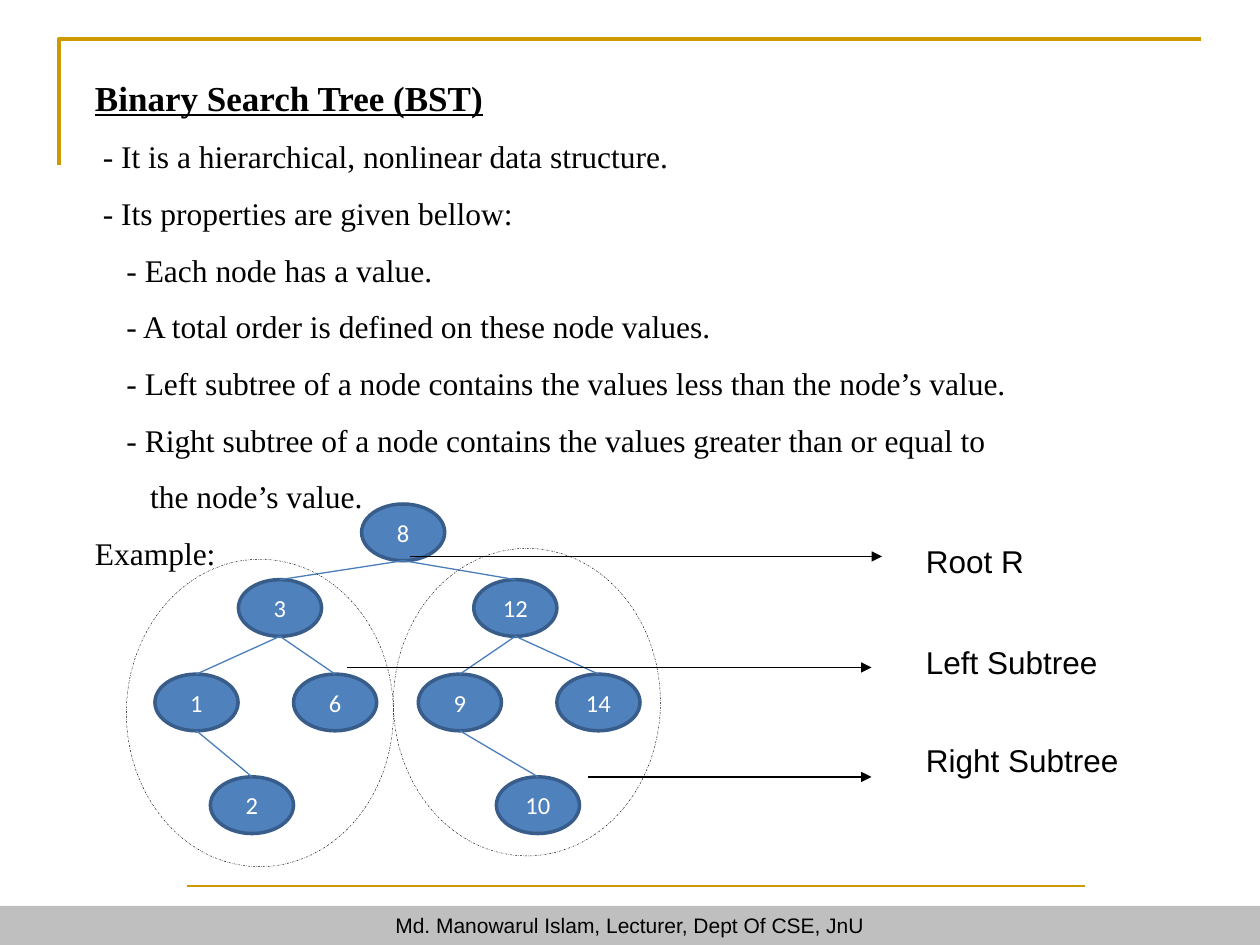
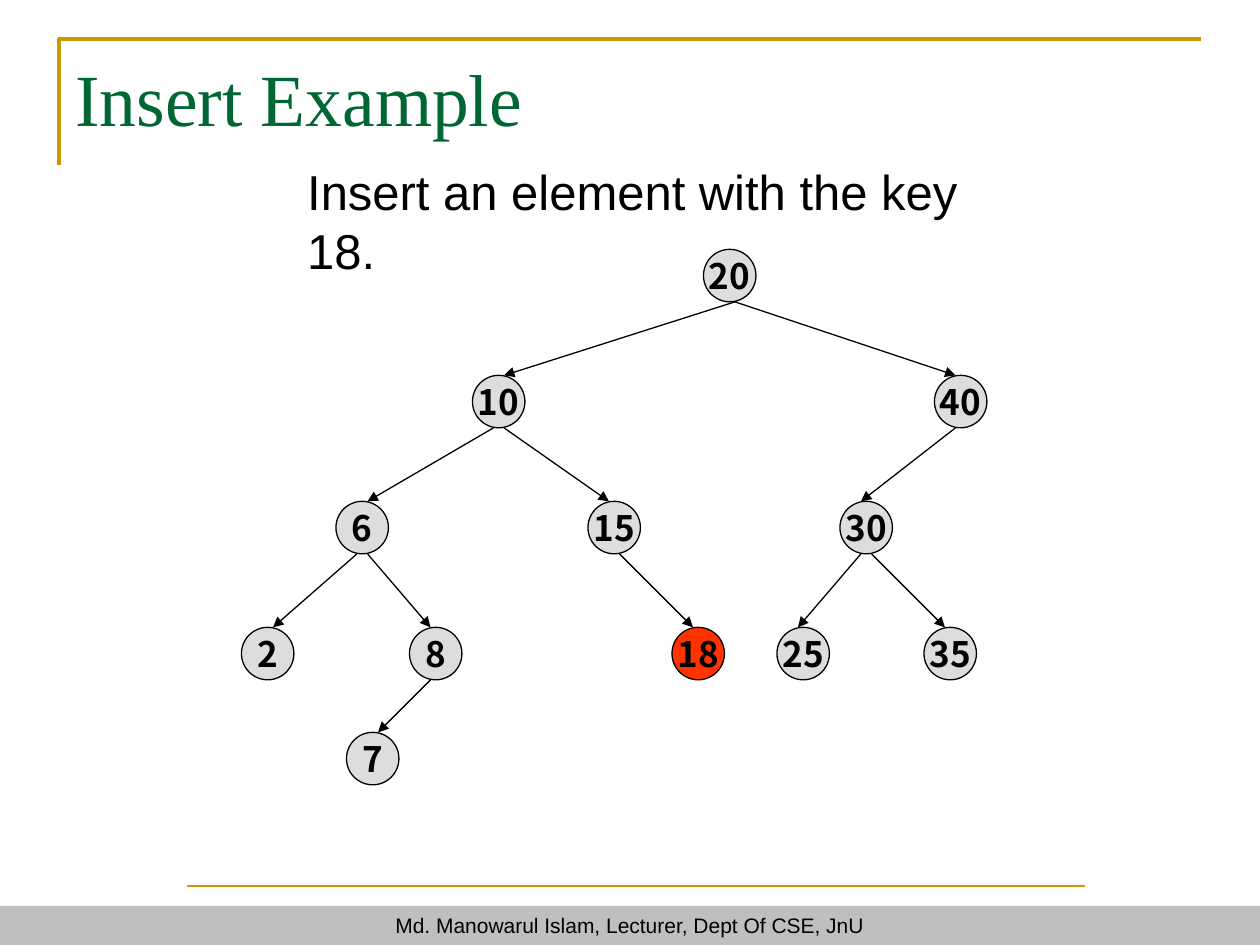
from lxml.etree import SubElement
from pptx import Presentation
from pptx.dml.color import RGBColor
from pptx.enum.dml import MSO_LINE
from pptx.enum.shapes import MSO_CONNECTOR, MSO_SHAPE
from pptx.enum.text import MSO_ANCHOR, PP_ALIGN
from pptx.oxml.ns import qn
from pptx.util import Pt

COLORS = {
    "gold": "CC9900", "band": "BFBFBF", "ink": "000000", "title": "006633",
    "blue": "4F81BD", "blue_edge": "385D8A", "blue_link": "4A7EBB",
    "paper": "FFFFFF", "gray": "DDDDDD", "inserted": "FF3300",
}
SERIF, SANS = "Times New Roman", "Arial"

FOOTER = "Md. Manowarul Islam, Lecturer, Dept Of CSE, JnU"

BST_HEADING = "Binary Search Tree (BST)"
BST_LINES = [
    (4.5, "- It is a hierarchical, nonlinear data structure."),
    (4.5, "- Its properties are given bellow:"),
    (18, "- Each node has a value."),
    (18, "- A total order is defined on these node values."),
    (18, "- Left subtree of a node contains the values less than the node’s value."),
    (18, "- Right subtree of a node contains the values greater than or equal to"),
    (31.5, "the node’s value."),
    (0, "Example:"),
]
BST_TREE = {
    "size": (47.5, 32.4),
    "rows": [288, 331.2, 385.2, 443.9],
    "nodes": {8: (230.4, 0), 3: (160, 1), 12: (294.5, 1), 1: (112.3, 2), 6: (191.5, 2),
              9: (262.8, 2), 14: (342, 2), 2: (144, 3), 10: (307.4, 3)},
    "edges": [(8, 3), (8, 12), (3, 6), (3, 1), (12, 14), (12, 9), (1, 2), (9, 10)],
    "fill": "blue", "outline": "blue_edge", "weight": 2, "link": "blue_link",
    "arrow": False, "wrap": True,
    "label": {"size": 14, "font": "Calibri", "color": "paper"},
}
SUBTREE_SIZE = (152.6, 175.7)
SUBTREES = [(224.8, 313.4), (72.2, 319.6)]
CALLOUTS = [
    ("Root R", 306, (234, 504), 318),
    ("Left Subtree", 363.6, (198, 498), 381.4),
    ("Right Subtree", 419.8, (336, 498), 444),
]

INSERT_TITLE = "Insert Example"
INSERT_TASK = "Insert an element with the key 18."
INSERT_TREE = {
    "size": (30, 30),
    "rows": [142.5, 214.5, 286.5, 358.5, 418.5],
    "nodes": {20: (417, 0), 40: (549, 1), 10: (285, 1), 6: (207, 2), 15: (351, 2),
              30: (495, 2), 2: (153, 3), 8: (249, 3), 18: (399, 3), 25: (459, 3),
              35: (543, 3), 7: (213, 4)},
    "edges": [(20, 10, 3, 3), (20, 40, 3, -3), (10, 6, -3, 3), (10, 15, 3, -3),
              (40, 30, -3, -3), (6, 2, -3, 3), (6, 8, 3, -3), (15, 18, 3, -3),
              (30, 25, -3, -3), (30, 35, 3, -3), (8, 7, -3, 3)],
    "fill": "gray", "outline": "ink", "weight": 0.75, "link": "ink",
    "arrow": True, "wrap": False, "highlight": {18: "inserted"},
    "label": {"size": 20, "font": "Noto Sans CJK KR", "color": "ink", "bold": True},
}


def rgb(color):
    return RGBColor.from_string(COLORS[color])


def write(frame, text, size=18, font=SANS, color="ink", bold=False, underline=False,
          align=PP_ALIGN.LEFT, spacing=None, indent=0, new=False):
    paragraph = frame.add_paragraph() if new else frame.paragraphs[0]
    paragraph.alignment = align
    if spacing:
        paragraph.line_spacing = spacing
    if indent:
        paragraph._p.get_or_add_pPr().set("marL", str(int(Pt(indent))))
    run = paragraph.add_run()
    run.text = text
    run.font.size = Pt(size)
    run.font.name = font
    run.font.bold = bold
    run.font.underline = underline
    run.font.color.rgb = rgb(color)


def add_box(slide, left, top, width, height, wrap=True):
    frame = slide.shapes.add_textbox(Pt(left), Pt(top), Pt(width), Pt(height)).text_frame
    frame.word_wrap = wrap
    return frame


def paint(shape, fill=None, outline=None, weight=1):
    shape.shadow.inherit = False
    if fill:
        shape.fill.solid()
        shape.fill.fore_color.rgb = rgb(fill)
    else:
        shape.fill.background()
    if outline:
        shape.line.color.rgb = rgb(outline)
        shape.line.width = Pt(weight)
    else:
        shape.line.fill.background()


def add_preset(slide, kind, left, top, width, height, **look):
    shape = slide.shapes.add_shape(kind, Pt(left), Pt(top), Pt(width), Pt(height))
    paint(shape, **look)
    return shape


def add_line(slide, start, end, color="ink", weight=0.75, arrow=False):
    line = slide.shapes.add_connector(MSO_CONNECTOR.STRAIGHT, *map(Pt, (*start, *end)))
    line.line.color.rgb = rgb(color)
    line.line.width = Pt(weight)
    properties = line._element.spPr
    if arrow:
        SubElement(properties.find(qn("a:ln")), qn("a:tailEnd"), type="triangle")
    SubElement(properties, qn("a:effectLst"))


def add_framed_slide(deck):
    slide = deck.slides.add_slide(deck.slide_layouts[6])
    add_line(slide, (106.6, 506.2), (619.9, 506.2), "gold", 1)
    band = add_preset(slide, MSO_SHAPE.RECTANGLE, 0, 517.7, 720, 22.3, fill="band")
    band.text_frame.vertical_anchor = MSO_ANCHOR.TOP
    write(band.text_frame, FOOTER, size=12, align=PP_ALIGN.CENTER)
    corner = slide.shapes.build_freeform(Pt(33.8), Pt(94.3))
    corner.add_line_segments([(Pt(33.8), Pt(22.3)), (Pt(686.2), Pt(22.3))], close=False)
    paint(corner.convert_to_shape(), outline="gold", weight=2)
    return slide


def draw_tree(slide, tree):
    width, height = tree["size"]
    centers = {key: (x, tree["rows"][row]) for key, (x, row) in tree["nodes"].items()}
    for key, (x, top) in centers.items():
        node = add_preset(slide, MSO_SHAPE.OVAL, x - width / 2, top, width, height,
                          fill=tree.get("highlight", {}).get(key, tree["fill"]),
                          outline=tree["outline"], weight=tree["weight"])
        node.text_frame.word_wrap = tree["wrap"]
        node.text_frame.vertical_anchor = MSO_ANCHOR.MIDDLE
        write(node.text_frame, str(key), align=PP_ALIGN.CENTER, **tree["label"])
    for parent, child, *shifts in tree["edges"]:
        leave, arrive = shifts or (0, 0)
        parent_x, parent_top = centers[parent]
        child_x, child_top = centers[child]
        add_line(slide, (parent_x + leave, parent_top + height),
                 (child_x + arrive, child_top), tree["link"], arrow=tree["arrow"])


def build_bst_slide(deck):
    slide = add_framed_slide(deck)
    properties = add_box(slide, 47.2, 28.1, 684, 302.4)
    write(properties, BST_HEADING, size=20, font=SERIF, bold=True, underline=True, spacing=1.5)
    for indent, line in BST_LINES:
        write(properties, line, font=SERIF, spacing=1.5, indent=indent, new=True)
    draw_tree(slide, BST_TREE)
    for left, top in SUBTREES:
        subtree = add_preset(slide, MSO_SHAPE.OVAL, left, top, *SUBTREE_SIZE,
                             outline="ink", weight=0.25)
        subtree.line.dash_style = MSO_LINE.DASH_DOT
    for caption, top, (start, end), y in CALLOUTS:
        add_line(slide, (start, y), (end, y), arrow=True)
        write(add_box(slide, 522, top, 174, 29), caption)


def build_insert_slide(deck):
    slide = add_framed_slide(deck)
    title = add_box(slide, 36, 21.6, 648, 90)
    title.margin_top = Pt(8.5)
    write(title, INSERT_TITLE, size=42, font=SERIF, color="title")
    write(add_box(slide, 168.5, 88.6, 432, 41, wrap=False), INSERT_TASK, size=28)
    draw_tree(slide, INSERT_TREE)


def main():
    deck = Presentation()
    deck.slide_width, deck.slide_height = Pt(720), Pt(540)
    build_bst_slide(deck)
    build_insert_slide(deck)
    deck.save("out.pptx")


if __name__ == "__main__":
    main()
